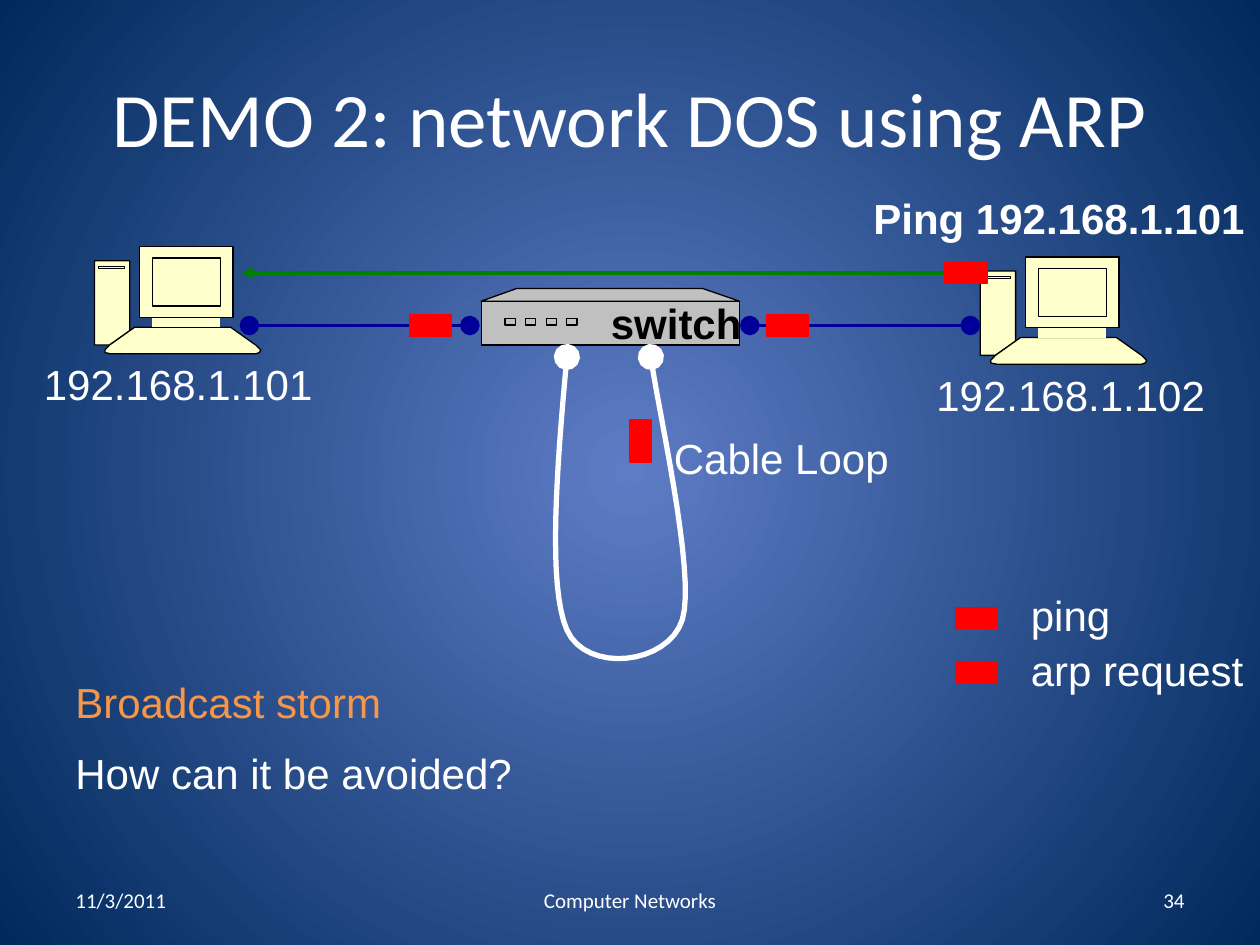
from lxml.etree import SubElement
from pptx import Presentation
from pptx.dml.color import RGBColor
from pptx.enum.shapes import MSO_CONNECTOR, MSO_SHAPE
from pptx.enum.text import MSO_ANCHOR, PP_ALIGN
from pptx.oxml.ns import qn
from pptx.util import Pt

WHITE = RGBColor(0xFF, 0xFF, 0xFF)
BLACK = RGBColor(0, 0, 0)
RED = RGBColor(0xFF, 0, 0)
GREEN = RGBColor(0, 0x80, 0)
NAVY = RGBColor(0, 0, 0x99)
ORANGE = RGBColor(0xF7, 0x96, 0x46)
CREAM = RGBColor(0xFF, 0xFF, 0xCC)
GREY = RGBColor(0xC0, 0xC0, 0xC0)
CENTER = RGBColor(0x5E, 0x7C, 0xC5)
EDGE = RGBColor(0, 0x29, 0x5C)


def paint(shape, fill, line, width=0.75):
    shape.shadow.inherit = False
    if fill is None:
        shape.fill.background()
    else:
        shape.fill.solid()
        shape.fill.fore_color.rgb = fill
    shape.line.color.rgb = line
    shape.line.width = Pt(width)


def label(text, x, y, w, h, color=WHITE, bold=False, wrap=False):
    frame = shapes.add_textbox(Pt(x), Pt(y), Pt(w), Pt(h)).text_frame
    frame.word_wrap = wrap
    para = frame.paragraphs[0]
    para.text = text
    para.line_spacing = 0.93
    para.font.name = "Arial"
    para.font.size = Pt(24)
    para.font.bold = bold
    para.font.color.rgb = color
    return frame


deck = Presentation()
deck.slide_width, deck.slide_height = Pt(720), Pt(540)
slide = deck.slides.add_slide(deck.slide_layouts[5])
shapes = slide.shapes

back = slide.background.fill
back.gradient()
for stop, color, place in zip(back.gradient_stops, (CENTER, EDGE), (0, 1)):
    stop.color.rgb = color
    stop.position = place
grad = slide.element.find(".//" + qn("a:gradFill"))
grad.remove(grad.find(qn("a:lin")))
round_fill = SubElement(grad, qn("a:path"), path="circle")
SubElement(round_fill, qn("a:fillToRect"), l="50000", t="50000", r="50000", b="50000")

title = shapes.title
title.left, title.top, title.width, title.height = Pt(36), Pt(21.6), Pt(648), Pt(90)
title.text = "DEMO 2: network DOS using ARP"
title.text_frame.vertical_anchor = MSO_ANCHOR.MIDDLE
head = title.text_frame.paragraphs[0]
head.alignment = PP_ALIGN.CENTER
head.font.name = "Calibri"
head.font.size = Pt(44)
head.font.color.rgb = WHITE

for text, x, w, align in (
    ("11/3/2011", 36, 168, PP_ALIGN.LEFT),
    ("Computer Networks", 246, 228, PP_ALIGN.CENTER),
    ("34", 516, 168, PP_ALIGN.RIGHT),
):
    foot = label(text, x, 500, w, 28.75, wrap=True)
    foot.vertical_anchor = MSO_ANCHOR.MIDDLE
    para = foot.paragraphs[0]
    para.alignment = align
    para.line_spacing = 1
    para.font.name = "Calibri"
    para.font.size = Pt(12)

tower = [(0, 8), (20.2, 8), (20.2, 48), (8.6, 56.2), (0, 56.2)]
base = [(23, 46), (77.8, 46), (92.2, 56.2), (95, 59), (94.3, 60.5),
        (92.2, 61.2), (9.4, 61.2), (6, 60.5), (6, 59), (8.6, 56.2)]
neck = [(33, 40), (72, 40), (72, 46), (33, 46)]
panes = [(25.9, 0, 53.3, 40.3), (33.1, 6.5, 38.9, 27.4), (2.2, 11.2, 15.1, 1.2)]
lid = [(0, 7.2), (20.2, 0), (126.7, 0), (147.6, 7.2)]
front = [(0, 7.2, 147.6, 25)]
ports = [(13.7 + 11.75 * i, 17.3, 5.8, 3.6) for i in range(4)]
for left, top, fill, lines, boxes in (
    (54, 141, CREAM, [tower, base, neck], panes),
    (560.2, 146.9, CREAM, [tower, base, neck], panes),
    (275, 164.9, GREY, [lid], front + ports),
):
    rects = [[(x, y), (x + w, y), (x + w, y + h), (x, y + h)] for x, y, w, h in boxes]
    form = shapes.build_freeform()
    for points in lines + rects:
        spots = [(Pt(left + x), Pt(top + y)) for x, y in points]
        form.move_to(*spots[0])
        form.add_line_segments(spots[1:])
    item = form.convert_to_shape()
    paint(item, fill, BLACK)
    first = item.element.find(".//" + qn("a:path"))
    size = {"w": first.get("w"), "h": first.get("h")}
    group = first.getparent()
    steps = list(first)
    group.remove(first)
    for step in steps:
        if step.tag == qn("a:moveTo"):
            part = SubElement(group, qn("a:path"), **size)
        part.append(step)
    parts = [part for part in group if len(part) > 1]
    for part in list(group):
        if part not in parts:
            group.remove(part)
    if neck in lines:
        parts[lines.index(neck)].set("stroke", "0")

label("switch", 342, 169, 96, 29, BLACK, True, True)

curves = [
    ((324, 204), (318, 269), (313, 335), (324, 360)),
    ((324, 360), (335, 385), (382, 380), (390, 354)),
    ((390, 354), (398, 328), (375, 229), (372, 204)),
]
spots = []
for a, b, c, d in curves:
    for i in range(1, 17):
        t = i / 16
        u = 1 - t
        spots.append([
            Pt(u**3 * p + 3 * u * u * t * q + 3 * u * t * t * r + t**3 * s)
            for p, q, r, s in zip(a, b, c, d)
        ])
form = shapes.build_freeform(Pt(324), Pt(204))
form.add_line_segments(spots, close=False)
loop = form.convert_to_shape()
paint(loop, None, WHITE, 3)

wires = [(loop, "oval", "oval", "lg")]
for start, end, y, color, first, last, size in (
    (142.5, 268.5, 186, NAVY, "oval", "oval", "lg"),
    (428.5, 554.5, 186, NAVY, "oval", "oval", "lg"),
    (552, 138, 156, GREEN, "none", "triangle", "med"),
):
    wire = shapes.add_connector(MSO_CONNECTOR.STRAIGHT, Pt(start), Pt(y), Pt(end), Pt(y))
    wire.line.color.rgb = color
    wire.line.width = Pt(2.25)
    SubElement(wire.element.spPr, qn("a:effectLst"))
    wires.append((wire, first, last, size))
for wire, first, last, size in wires:
    ln = wire.element.spPr.find(qn("a:ln"))
    SubElement(ln, qn("a:headEnd"), type=first, w=size, len=size)
    SubElement(ln, qn("a:tailEnd"), type=last, w=size, len=size)

for x, y, turn in (
    (360, 240, 0), (240, 174, 270), (444, 174, 270),
    (546, 144, 270), (552, 372, 270), (552, 341, 270),
):
    packet = shapes.add_shape(MSO_SHAPE.RECTANGLE, Pt(x), Pt(y), Pt(12), Pt(24))
    packet.rotation = turn
    paint(packet, RED, RED)

for text, x, y, w, color, bold in (
    ("192.168.1.101", 18, 204, 170, WHITE, False),
    ("192.168.1.102", 528, 210, 170, WHITE, False),
    ("Cable Loop", 378, 246, 139, WHITE, False),
    ("Ping 192.168.1.101", 492, 109, 229, WHITE, True),
    ("arp request", 582, 367.5, 137.5, WHITE, False),
    ("ping", 582, 336, 60.5, WHITE, False),
    ("How can it be avoided?", 36, 426, 266.5, WHITE, False),
    ("Broadcast storm", 36, 385.5, 191, ORANGE, False),
):
    label(text, x, y, w, 34.5, color, bold)

deck.save("out.pptx")
